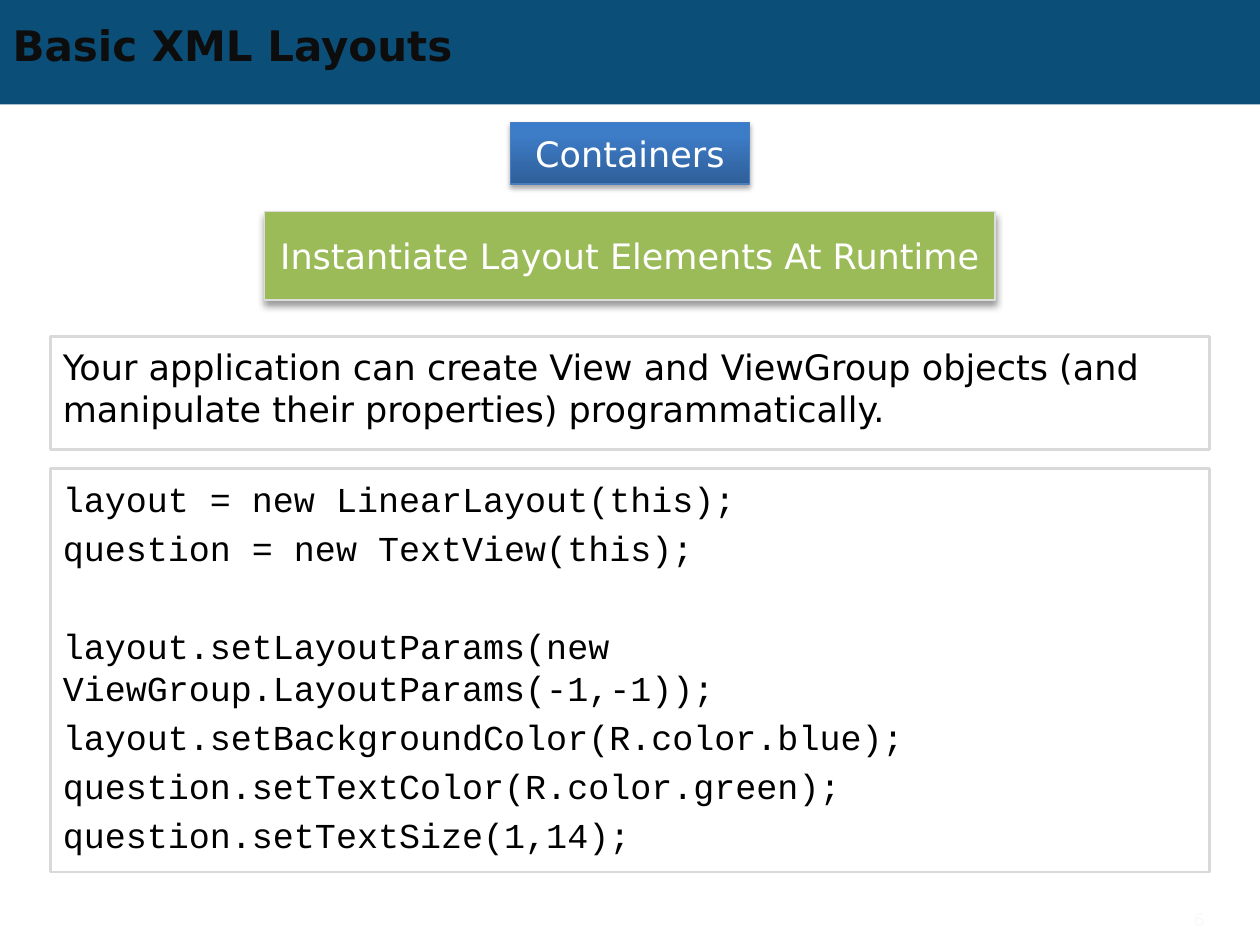
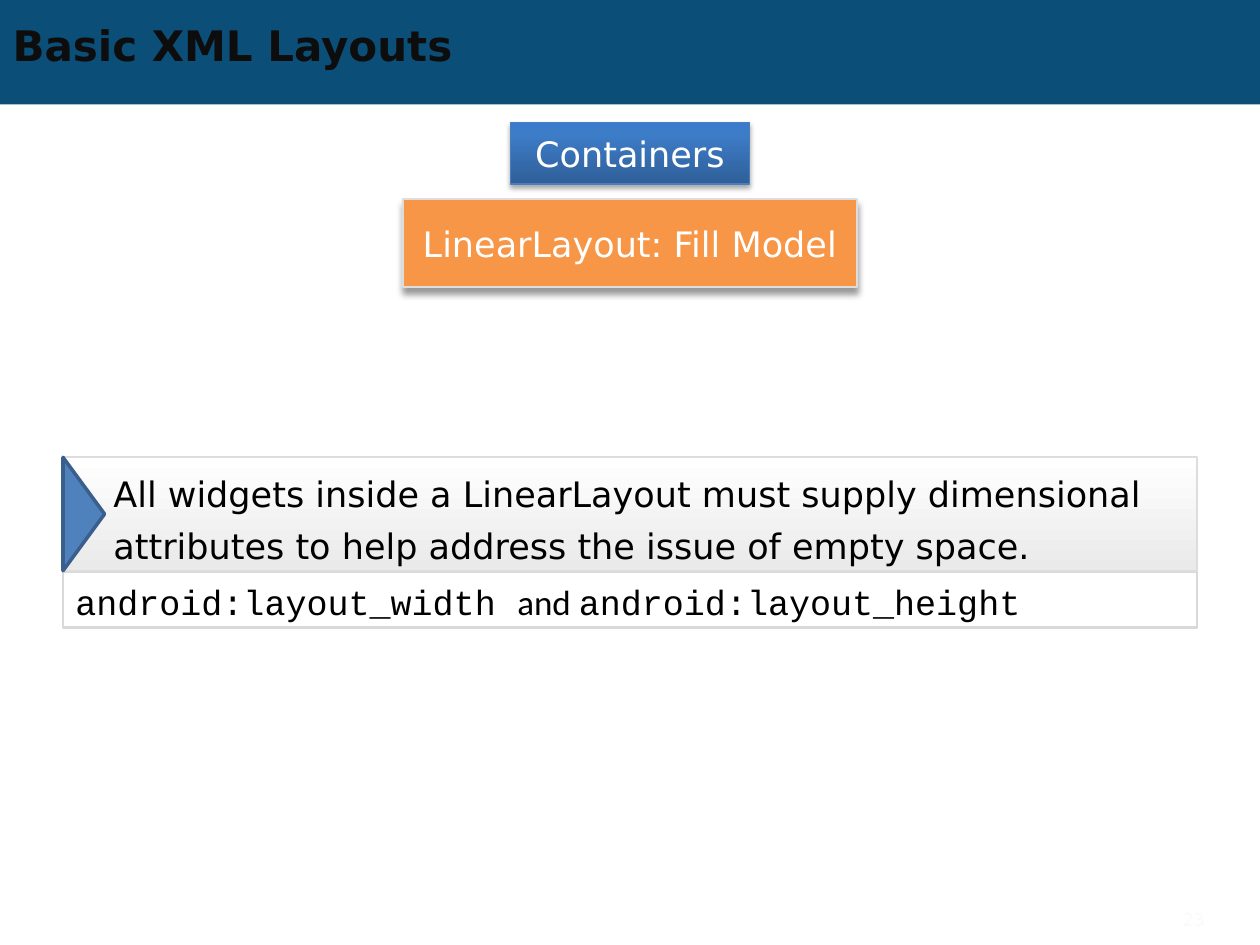
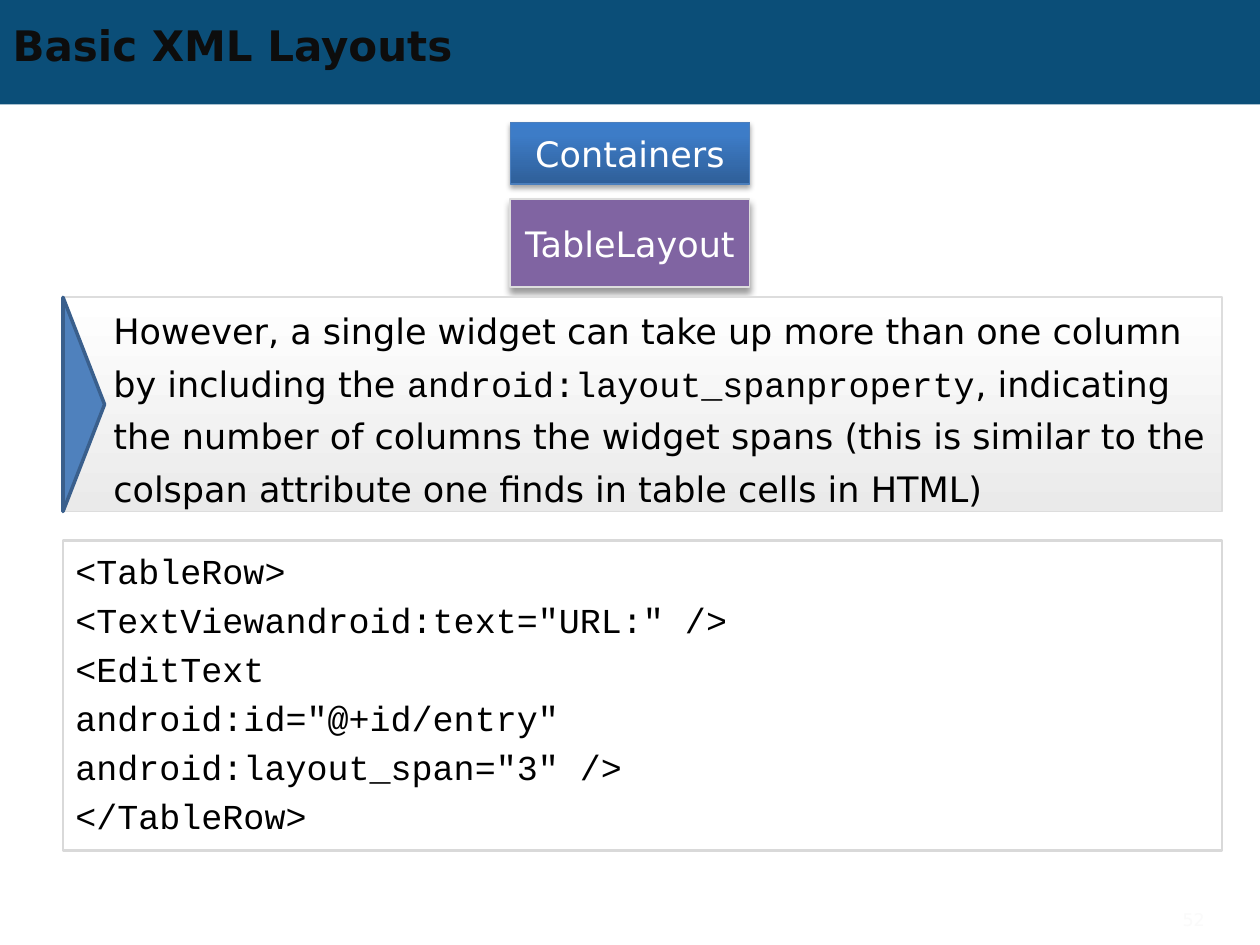
from pptx import Presentation
from pptx import util as u
from pptx.dml.color import RGBColor
from pptx.enum import shapes, text
from pptx.oxml import parse_xml
from pptx.oxml.ns import nsdecls, qn

SANS, MONO, BODY = "DejaVu Sans", "Courier New", "Calibri"
BLACK, WHITE, INK = "000000", "FFFFFF", "0D0D0D"
BAND, NUMBER = "0B4E78", "FAFAFA"
GREEN, ORANGE, PURPLE = "9BBB59", "F79646", "8064A2"
EDGE, FRAME = "DDDDDD", "D9D9D9"
BLUE = [(0, "2F5F99"), (80, "3D7CC7"), (100, "3A7CCB")]
GRAY = [(0, "FFFFFF"), (100, "EAEAEA")]
RECT = shapes.MSO_SHAPE.RECTANGLE
MIDDLE, CENTER = text.MSO_ANCHOR.MIDDLE, text.PP_ALIGN.CENTER
WIDE, HIGH = 1000, 750


def px(n):
    """100 px make one inch."""
    return u.Emu(int(n * 9144))


def paint(color, hue):
    color.rgb = RGBColor.from_string(hue)


def blend(shape, stops, angle):
    shape.fill.gradient()
    props = shape.element.spPr
    marks = "".join(f'<a:gs pos="{pos * 1000}"><a:srgbClr val="{hue}"/></a:gs>'
                    for pos, hue in stops)
    props.replace(props.find(qn("a:gradFill")), parse_xml(
        f'<a:gradFill {nsdecls("a")} rotWithShape="1"><a:gsLst>{marks}</a:gsLst>'
        f'<a:lin ang="{angle * 60000}" scaled="0"/></a:gradFill>'))


def shade(shape, alpha, blur, dist):
    shape.element.spPr.find(qn("a:effectLst")).append(parse_xml(
        f'<a:outerShdw {nsdecls("a")} blurRad="{u.Pt(blur)}" dist="{u.Pt(dist)}" '
        f'dir="5400000" rotWithShape="0"><a:srgbClr val="{BLACK}">'
        f'<a:alpha val="{alpha * 1000}"/></a:srgbClr></a:outerShdw>'))


def draw(parent, box, fill=None, line=None, width=1, kind=RECT):
    shape = parent.add_shape(kind, *map(px, box))
    shape.shadow.inherit = False
    if fill:
        shape.fill.solid()
        paint(shape.fill.fore_color, fill)
    else:
        shape.fill.background()
    if line:
        paint(shape.line.color, line)
        shape.line.width = u.Pt(width)
    else:
        shape.line.fill.background()
    return shape


def pad(frame, left, top, right, base):
    frame.margin_left, frame.margin_top = px(left), px(top)
    frame.margin_right, frame.margin_bottom = px(right), px(base)


def write(para, runs, hue=BLACK, size=20, bold=False, align=text.PP_ALIGN.LEFT):
    """Add (wording, font) runs to a paragraph."""
    para.alignment = align
    for words, face in runs:
        run = para.add_run()
        run.text = words
        run.font.name, run.font.size, run.font.bold = face, u.Pt(size), bold
        paint(run.font.color, hue)


def label(shape, words):
    frame = shape.text_frame
    frame.vertical_anchor = MIDDLE
    write(frame.paragraphs[0], [(words, SANS)], WHITE, align=CENTER)


def topic(slide, words, top, width, fill):
    """Coloured topic plate, centred on the slide."""
    plate = draw(slide.shapes, ((WIDE - width) / 2, top, width, 70), fill, EDGE)
    shade(plate, 40, 4, 3)
    pad(plate.text_frame, 0, 0, 0, 0)
    label(plate, words)


def panel(slide, box, paras, gaps=()):
    """Framed text; gaps holds the paragraphs that follow an empty line."""
    frame = draw(slide.shapes, box, line=FRAME, width=1.5).text_frame
    frame.word_wrap = True
    frame.vertical_anchor = text.MSO_ANCHOR.TOP
    pad(frame, 10, 7, 10, 5)
    for i, runs in enumerate(paras):
        para = frame.add_paragraph() if i else frame.paragraphs[0]
        para.line_spacing = u.Pt(24)
        if i:
            para.space_before = u.Pt(32 if i in gaps else 4)
        write(para, runs)


def code(slide, box, lines, gaps=()):
    panel(slide, box, [[(line, MONO)] for line in lines], gaps)


def note(slide, box, runs):
    """Shaded note with a pointer inside its left edge."""
    left, top, _, high = box
    group = slide.shapes.add_group_shape().shapes
    card = draw(group, box, WHITE, EDGE)
    blend(card, GRAY, 90)
    frame = card.text_frame
    frame.word_wrap = True
    frame.vertical_anchor = MIDDLE
    pad(frame, 40, 0, 10, 0)
    frame.paragraphs[0].line_spacing = u.Pt(30)
    write(frame.paragraphs[0], runs)
    # The triangle is turned about its centre
    deep = 33
    spot = (left + (deep - high) / 2, top + (high - deep) / 2, high, deep)
    tip = draw(group, spot, "4F81BD", "3A5F8C", 2,
               shapes.MSO_SHAPE.ISOSCELES_TRIANGLE)
    tip.rotation = 90


def start(deck, layout, number):
    """Slide with title, section plate and page number."""
    slide = deck.slides.add_slide(layout)
    title = slide.shapes.title
    title.text_frame.vertical_anchor = MIDDLE
    write(title.text_frame.paragraphs[0], [("Basic XML Layouts", SANS)],
          INK, 24, True)
    plate = draw(slide.shapes, (405, 97, 190, 49), WHITE, "4B7EBC", 0.75)
    blend(plate, BLUE, 270)
    shade(plate, 35, 3.1, 1.8)
    label(plate, "Containers")
    page = slide.shapes.add_textbox(*map(px, (866, 715, 100, 30))).text_frame
    page.word_wrap = True
    page.vertical_anchor = MIDDLE
    write(page.paragraphs[0], [(str(number), SANS)], NUMBER, 10,
          align=text.PP_ALIGN.RIGHT)
    return slide


def setup(deck):
    """Layout with the top band and the title's place."""
    layout = deck.slide_layouts[5]
    title = layout.placeholders[0]
    title.left, title.top, title.width, title.height = map(px, (0, 14, 900, 43))
    return layout


def main():
    deck = Presentation()
    deck.slide_width, deck.slide_height = px(WIDE), px(HIGH)
    layout = setup(deck)

    # Runtime layout
    slide = start(deck, layout, 6)
    band = draw(slide.shapes, (0, 0, WIDE, 83), BAND)
    layout.shapes.element.insert(2, band.element)  # shared by all slides
    topic(slide, "Instantiate Layout Elements At Runtime", 168, 580, GREEN)
    panel(slide, (40, 267, 920, 90), [[(
        "Your application can create View and ViewGroup objects (and "
        "manipulate their properties) programmatically.", SANS)]])
    code(slide, (40, 372, 920, 320), [
        "layout = new LinearLayout(this);",
        "question = new TextView(this);",
        "layout.setLayoutParams(new ViewGroup.LayoutParams(-1,-1));",
        "layout.setBackgroundColor(R.color.blue);",
        "question.setTextColor(R.color.green);",
        "question.setTextSize(1,14);"], gaps=(2,))

    # Fill model
    slide = start(deck, layout, 23)
    topic(slide, "LinearLayout: Fill Model", 158, 360, ORANGE)
    panel(slide, (50, 454, 900, 44), [[
        ("android:layout_width ", MONO), ("and ", BODY),
        ("android:layout_height", MONO)]])
    note(slide, (50, 363, 900, 90), [(
        "All widgets inside a LinearLayout must supply dimensional "
        "attributes to help address the issue of empty space.", SANS)])

    # Table layout
    slide = start(deck, layout, 52)
    topic(slide, "TableLayout", 158, 190, PURPLE)
    note(slide, (50, 236, 920, 170), [
        ("However, a single widget can take up more than one column by "
         "including the ", SANS),
        ("android:layout_spanproperty", MONO),
        (", indicating the number of columns the widget spans (this is "
         "similar to the colspan attribute one finds in table cells in "
         "HTML)", SANS)])
    code(slide, (50, 429, 920, 246), [
        "<TableRow>",
        '<TextViewandroid:text="URL:" />',
        "<EditText",
        'android:id="@+id/entry"',
        'android:layout_span="3" />',
        "</TableRow>"])

    deck.save("out.pptx")


if __name__ == "__main__":
    main()
